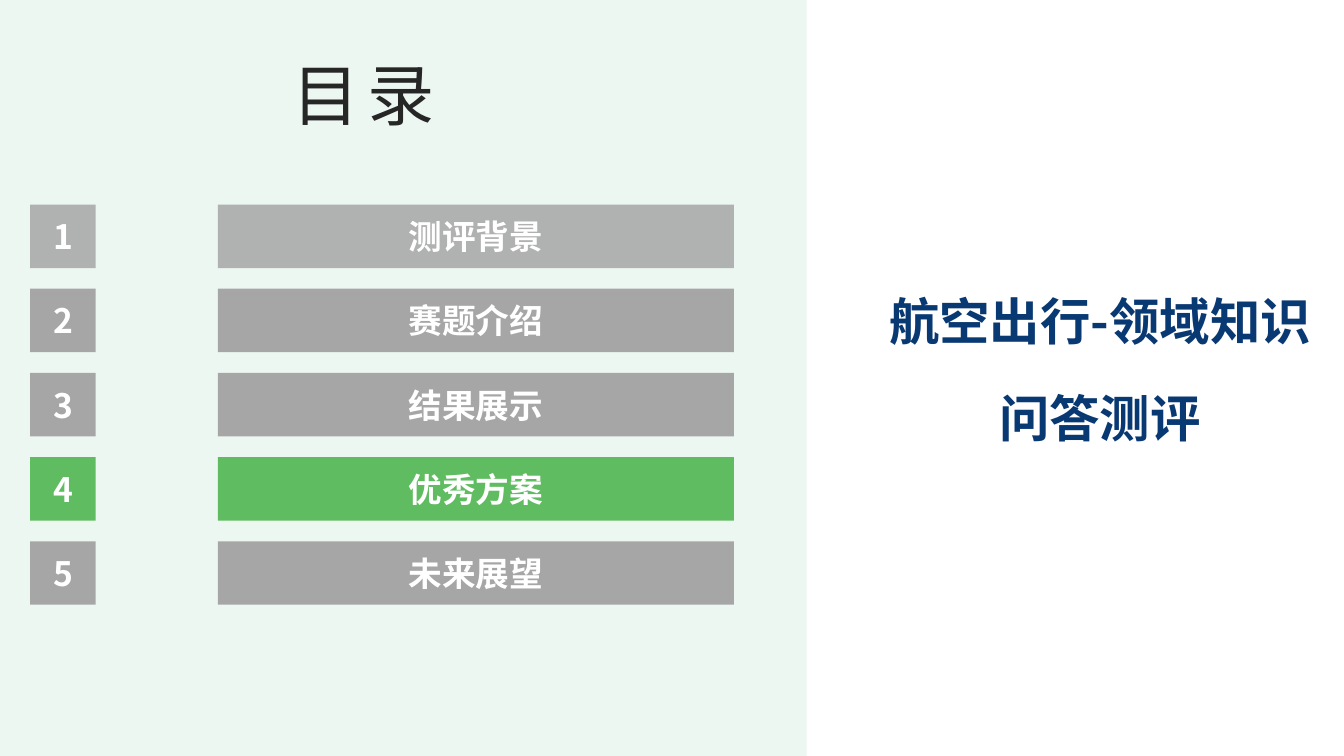
from pptx import Presentation
from pptx.dml.color import RGBColor
from pptx.enum import shapes, text
from pptx.oxml.ns import qn
from pptx.util import Inches, Pt
from lxml import etree

MINT = RGBColor(0xED, 0xF7, 0xF2)
GRAY = RGBColor(0xA6, 0xA6, 0xA6)
GREEN = RGBColor(0x60, 0xBC, 0x60)
WHITE = RGBColor(0xFF, 0xFF, 0xFF)
NAVY = RGBColor(0x09, 0x39, 0x72)
INK = RGBColor(0x26, 0x26, 0x26)
SANS = "Noto Sans CJK SC"

TOPICS = ["测评背景", "赛题介绍", "结果展示", "优秀方案", "未来展望"]
ACTIVE = 4
FIRST, LAST = 2.03, 5.37


def style(frame, words, size, color, bold, align, font=SANS):
    frame.text = words
    para = frame.paragraphs[0]
    para.alignment = align
    run = para.runs[0]
    run.font.size = Pt(size)
    run.font.bold = bold
    run.font.color.rgb = color
    run.font.name = font
    props = run.font._element
    etree.SubElement(props, qn("a:ea"), typeface=SANS)
    return para, props


def add_rect(slide, left, top, width, height, color):
    rect = slide.shapes.add_shape(
        shapes.MSO_SHAPE.RECTANGLE,
        Inches(left), Inches(top), Inches(width), Inches(height))
    rect.shadow.inherit = False
    rect.fill.solid()
    rect.fill.fore_color.rgb = color
    rect.line.fill.background()
    return rect


def fade(rect, share):
    color = rect.element.spPr.find(qn("a:solidFill"))[0]
    etree.SubElement(color, qn("a:alpha"), val=str(share * 1000))


def add_label(slide, left, top, width, words, color):
    rect = add_rect(slide, left, top, width, 0.63, color)
    rect.text_frame.vertical_anchor = text.MSO_ANCHOR.MIDDLE
    style(rect.text_frame, words, 24, WHITE, True, text.PP_ALIGN.CENTER)
    return rect


def add_topic(slide, num, words):
    top = FIRST + (num - 1) * (LAST - FIRST) / (len(TOPICS) - 1)
    color = GREEN if num == ACTIVE else GRAY
    pair = [add_label(slide, 0.3, top, 0.65, str(num), color),
            add_label(slide, 2.16, top, 5.12, words, color)]
    if num == 1:
        for rect in pair:
            fade(rect, 85)


def set_title(slide):
    title = slide.shapes.title
    title.left, title.top = Inches(2.9), Inches(0.51)
    title.width, title.height = Inches(1.9), Inches(0.84)
    frame = title.text_frame
    frame.auto_size = text.MSO_AUTO_SIZE.NONE
    frame.vertical_anchor = text.MSO_ANCHOR.MIDDLE
    frame.margin_left = 0
    props = style(frame, "目录", 48, INK, False, text.PP_ALIGN.LEFT, "Arial")[1]
    props.set("spc", "600")


def add_theme(slide):
    box = slide.shapes.add_textbox(
        Inches(8.64), Inches(2.47), Inches(4.54), Inches(2.04))
    box.text_frame.word_wrap = True
    para = style(box.text_frame, "航空出行-领域知识问答测评", 36, NAVY, True,
                 text.PP_ALIGN.CENTER)[0]
    para.line_spacing = 1.6


def main():
    deck = Presentation()
    deck.slide_width, deck.slide_height = Inches(13.33), Inches(7.5)
    slide = deck.slides.add_slide(deck.slide_layouts[5])
    panel = add_rect(slide, 0, 0, 8, 7.5, MINT)
    slide.shapes.title.element.addprevious(panel.element)
    set_title(slide)
    add_theme(slide)
    for num, words in enumerate(TOPICS, 1):
        add_topic(slide, num, words)
    deck.save("out.pptx")


if __name__ == "__main__":
    main()
